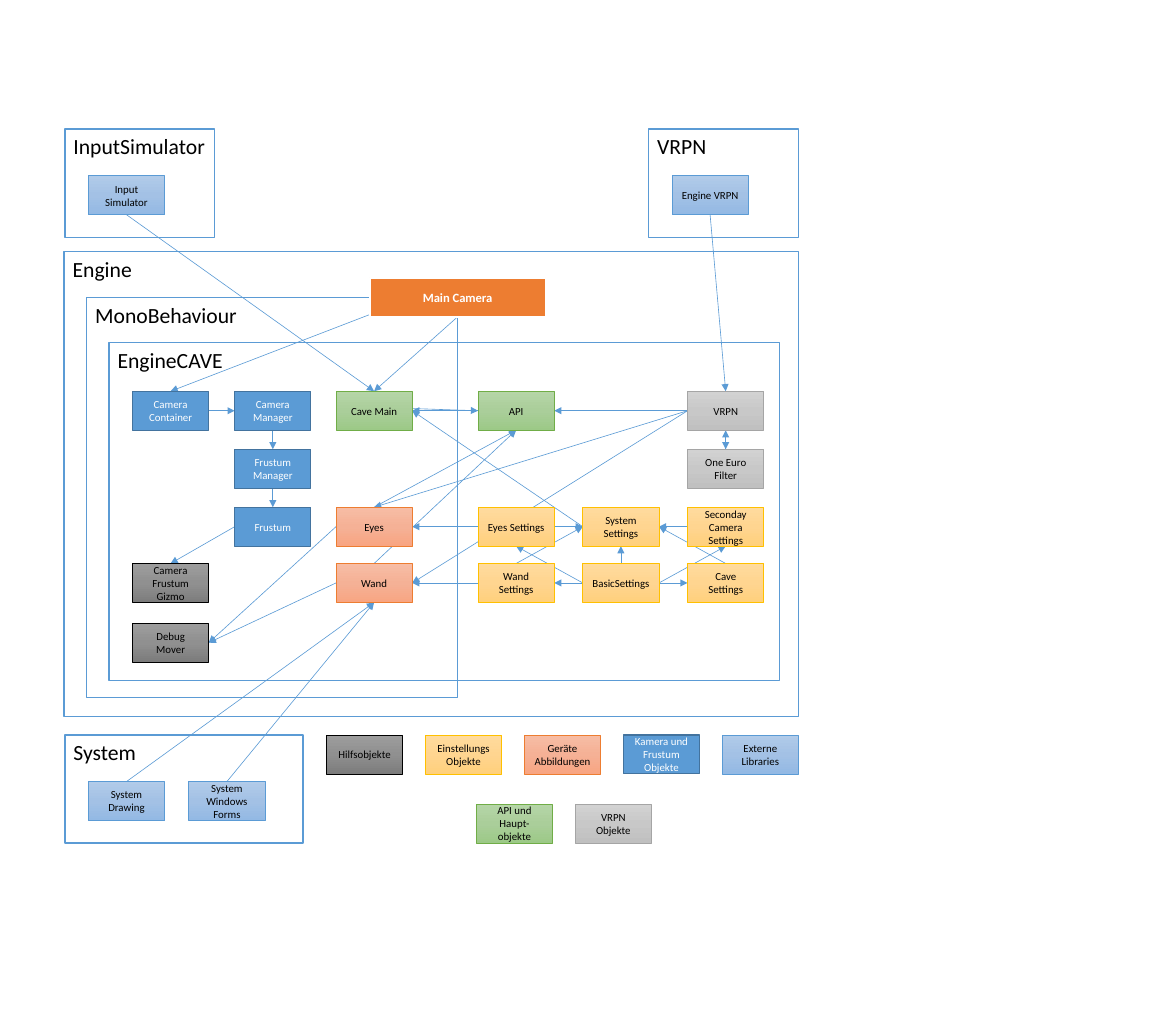
from copy import deepcopy
from dataclasses import dataclass

from pptx import Presentation
from pptx.dml.color import RGBColor
from pptx.enum.shapes import MSO_CONNECTOR, MSO_SHAPE
from pptx.enum.text import MSO_ANCHOR, PP_ALIGN
from pptx.oxml.ns import qn
from pptx.oxml.xmlchemy import OxmlElement
from pptx.util import Inches, Pt


@dataclass(frozen=True)
class Style:
    """Fill stops from top to bottom, outline and text of one kind of box."""
    fill: tuple
    line: str
    weight: float = 0.5
    ink: str = "000000"
    size: float = 9
    bold: bool = False


@dataclass(frozen=True)
class Box:
    """A rectangle on the slide, in inches."""
    left: float
    top: float
    width: float
    height: float

    def place(self, dx, dy, width, height):
        """Return a box placed relative to this one."""
        return Box(self.left + dx, self.top + dy, width, height)


class Theme:
    """Fonts, sizes and colours of the diagram."""
    font = "Calibri"
    accent = "5B9BD5"
    link_weight = 0.5
    panel = Style(("FFFFFF",), accent, 1, size=18)
    frame = Style((), accent, 1, size=18)
    main = Style(("ED7D31",), "FFFFFF", 1.5, "FFFFFF", 10.5, True)
    camera = Style((accent,), "43739E", 1, "FFFFFF")
    api = Style(("B5D5A7", "AACE9A", "9CC987"), "70AD47")
    helper = Style(("9D9D9D", "909090", "7C7C7C"), "000000")
    tracking = Style(("D2D2D2", "C8C8C8", "C0C0C0"), "A5A5A5")
    settings = Style(("FFDB9E", "FFD590", "FFD07C"), "FFC000")
    device = Style(("F7BDA5", "F5B196", "F8A582"), "ED7D31")
    library = Style(("B1CBE9", "A3C1E5", "93B9E4"), accent)


NODE = (0.88, 0.45)
TOP, LEFT, BOTTOM, RIGHT = range(4)  # connection sites of a rectangle

CAVE_COLUMNS = (0.27, 1.45, 2.62, 4.26, 5.47, 6.68)
CAVE_ROWS = (0.56, 1.23, 1.9, 2.55, 3.24)
CAVE_NODES = [  # label, column, row, style
    ("Camera Container", 0, 0, Theme.camera),
    ("Camera Manager", 1, 0, Theme.camera),
    ("Cave Main", 2, 0, Theme.api),
    ("API", 3, 0, Theme.api),
    ("VRPN", 5, 0, Theme.tracking),
    ("Frustum Manager", 1, 1, Theme.camera),
    ("One Euro Filter", 5, 1, Theme.tracking),
    ("Frustum", 1, 2, Theme.camera),
    ("Eyes", 2, 2, Theme.device),
    ("Eyes Settings", 3, 2, Theme.settings),
    ("System Settings", 4, 2, Theme.settings),
    ("Seconday Camera Settings", 5, 2, Theme.settings),
    ("Camera Frustum Gizmo", 0, 3, Theme.helper),
    ("Wand", 2, 3, Theme.device),
    ("Wand Settings", 3, 3, Theme.settings),
    ("BasicSettings", 4, 3, Theme.settings),
    ("Cave\nSettings", 5, 3, Theme.settings),
    ("Debug Mover", 0, 4, Theme.helper),
]
LEGEND_ROWS = [  # indent, entries
    (0, [("Hilfsobjekte", Theme.helper), ("Einstellungs Objekte", Theme.settings),
         ("Geräte Abbildungen", Theme.device),
         ("Kamera und Frustum Objekte", Theme.camera),
         ("Externe Libraries", Theme.library)]),
    (1.73, [("API und Haupt-objekte", Theme.api), ("VRPN Objekte", Theme.tracking)]),
]
LINKS = [  # source, its side, target, its side
    ("Main Camera", LEFT, "Camera Container", TOP),
    ("Main Camera", BOTTOM, "Cave Main", TOP),
    ("Input Simulator", BOTTOM, "Cave Main", TOP),
    ("Engine VRPN", BOTTOM, "VRPN", TOP),
    ("System Drawing", TOP, "Wand", BOTTOM),
    ("System Windows Forms", TOP, "Wand", BOTTOM),
    ("Camera Container", RIGHT, "Camera Manager", LEFT),
    ("Camera Manager", BOTTOM, "Frustum Manager", TOP),
    ("Frustum Manager", BOTTOM, "Frustum", TOP),
    ("Frustum", LEFT, "Camera Frustum Gizmo", TOP),
    ("VRPN", BOTTOM, "One Euro Filter", TOP),
    ("One Euro Filter", TOP, "VRPN", BOTTOM),
    ("VRPN", LEFT, "API", RIGHT),
    ("VRPN", LEFT, "Eyes", TOP),
    ("VRPN", LEFT, "Wand", RIGHT),
    ("API", LEFT, "Cave Main", RIGHT),
    ("Cave Main", RIGHT, "API", LEFT),
    ("Eyes", TOP, "API", BOTTOM),
    ("Wand", TOP, "API", BOTTOM),
    ("Eyes", LEFT, "Debug Mover", RIGHT),
    ("Wand", LEFT, "Debug Mover", RIGHT),
    ("Eyes Settings", LEFT, "Eyes", RIGHT),
    ("Wand Settings", LEFT, "Wand", RIGHT),
    ("System Settings", LEFT, "Cave Main", RIGHT),
    ("Eyes Settings", RIGHT, "System Settings", LEFT),
    ("Wand Settings", TOP, "System Settings", LEFT),
    ("Cave\nSettings", TOP, "System Settings", RIGHT),
    ("Seconday Camera Settings", LEFT, "System Settings", RIGHT),
    ("BasicSettings", TOP, "System Settings", BOTTOM),
    ("BasicSettings", LEFT, "Eyes Settings", BOTTOM),
    ("BasicSettings", LEFT, "Wand Settings", RIGHT),
    ("BasicSettings", RIGHT, "Cave\nSettings", LEFT),
    ("BasicSettings", RIGHT, "Seconday Camera Settings", BOTTOM),
]
LOOSE_STARTS = {  # links that leave beside a connection site
    ("Main Camera", "Camera Container"): (4.28, 3.63),
    ("Cave Main", "API"): (4.76, 4.72),
}


def paint(shape, stops):
    """Fill a shape with nothing, one colour or a three-stop gradient."""
    if not stops:
        shape.fill.background()
    elif len(stops) == 1:
        shape.fill.solid()
        shape.fill.fore_color.rgb = RGBColor.from_string(stops[0])
    else:
        shape.fill.gradient()
        shape.fill.gradient_angle = 270
        first = shape._element.spPr.find(".//" + qn("a:gs"))
        first.addnext(deepcopy(first))
        for index, (stop, color) in enumerate(zip(shape.fill.gradient_stops, stops)):
            stop.position = index / 2
            stop.color.rgb = RGBColor.from_string(color)


def draw_box(slide, box, label, style, align, anchor):
    """Draw a labelled rectangle."""
    shape = slide.shapes.add_shape(
        MSO_SHAPE.RECTANGLE, *map(Inches, (box.left, box.top, box.width, box.height)))
    shape.shadow.inherit = False
    paint(shape, style.fill)
    shape.line.color.rgb = RGBColor.from_string(style.line)
    shape.line.width = Pt(style.weight)
    frame = shape.text_frame
    frame.word_wrap = True
    frame.vertical_anchor = anchor
    paragraph = frame.paragraphs[0]
    paragraph.alignment = align
    for index, words in enumerate(label.split("\n")):
        if index:
            paragraph.add_line_break()
        run = paragraph.add_run()
        run.text = words
        run.font.name, run.font.size, run.font.bold = Theme.font, Pt(style.size), style.bold
        run.font.color.rgb = RGBColor.from_string(style.ink)
    return shape


def draw_panel(slide, box, title, style):
    """Draw a region outline with its heading at the top left."""
    draw_box(slide, box, title, style, PP_ALIGN.LEFT, MSO_ANCHOR.TOP)


def draw_node(slide, box, label, style):
    """Draw an object box with centred text."""
    return draw_box(slide, box, label, style, PP_ALIGN.CENTER, MSO_ANCHOR.MIDDLE)


def draw_library(slide, box, title, members):
    """Draw an external library with its members side by side."""
    draw_panel(slide, box, title, Theme.panel)
    return {label: draw_node(slide, box.place(0.27 + 1.16 * i, 0.54, *NODE), label, Theme.library)
            for i, label in enumerate(members)}


def draw_engine(slide, box):
    """Draw the engine with its nested frames and objects."""
    cave = box.place(0.52, 1.05, 7.74, 3.9)
    draw_panel(slide, box, "Engine", Theme.panel)
    draw_panel(slide, box.place(0.26, 0.53, 4.28, 4.62), "MonoBehaviour", Theme.frame)
    draw_panel(slide, cave, "EngineCAVE", Theme.frame)
    nodes = {"Main Camera": draw_node(
        slide, box.place(3.53, 0.3, 2.03, 0.45), "Main Camera", Theme.main)}
    for label, column, row, style in CAVE_NODES:
        cell = cave.place(CAVE_COLUMNS[column], CAVE_ROWS[row], *NODE)
        nodes[label] = draw_node(slide, cell, label, style)
    return nodes


def draw_legend(slide, box):
    """Draw the colour key in two rows with equal gaps."""
    pitch = (box.width - NODE[0]) / (len(LEGEND_ROWS[0][1]) - 1)
    for row, (indent, entries) in enumerate(LEGEND_ROWS):
        for i, (label, style) in enumerate(entries):
            cell = box.place(indent + i * pitch, row * (box.height - NODE[1]), *NODE)
            draw_node(slide, cell, label, style)


def draw_links(slide, nodes):
    """Join the objects with arrows that run behind the boxes."""
    backmost = nodes["Main Camera"]._element
    for source, source_side, target, target_side in LINKS:
        x, y = map(Inches, LOOSE_STARTS.get((source, target), (0, 0)))
        link = slide.shapes.add_connector(MSO_CONNECTOR.STRAIGHT, x, y, x, y)
        if (source, target) not in LOOSE_STARTS:
            link.begin_connect(nodes[source], source_side)
        link.end_connect(nodes[target], target_side)
        link.line.color.rgb = RGBColor.from_string(Theme.accent)
        link.line.width = Pt(Theme.link_weight)
        arrow = OxmlElement("a:tailEnd")
        arrow.set("type", "triangle")
        properties = link._element.spPr
        properties.find(qn("a:ln")).append(arrow)
        properties.append(OxmlElement("a:effectLst"))
        backmost.addprevious(link._element)


deck = Presentation()
deck.slide_width, deck.slide_height = Inches(13.58), Inches(11.83)
diagram = deck.slides.add_slide(deck.slide_layouts[6])
objects = {
    **draw_library(diagram, Box(0.75, 1.49, 1.73, 1.25), "InputSimulator", ["Input Simulator"]),
    **draw_library(diagram, Box(7.49, 1.49, 1.73, 1.25), "VRPN", ["Engine VRPN"]),
    **draw_library(diagram, Box(0.75, 8.49, 2.75, 1.25), "System",
                   ["System Drawing", "System Windows Forms"]),
    **draw_engine(diagram, Box(0.74, 2.91, 8.48, 5.37)),
}
draw_legend(diagram, Box(3.77, 8.49, 5.45, 1.25))
draw_links(diagram, objects)
deck.save("out.pptx")
